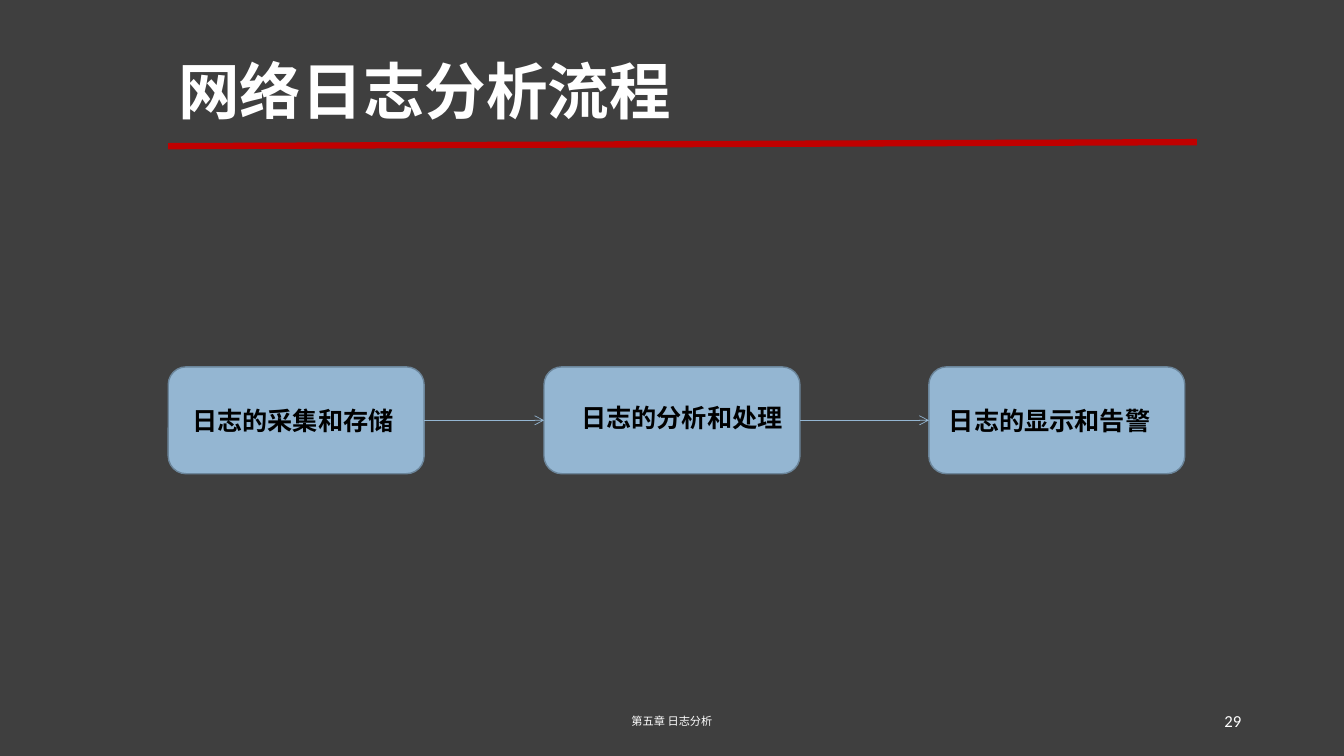
from lxml import etree
from pptx import Presentation
from pptx.dml.color import RGBColor
from pptx.enum import shapes, text
from pptx.oxml import ns
from pptx.util import Inches, Pt

BACKGROUND = RGBColor(0x3F, 0x3F, 0x3F)
WHITE = RGBColor(0xFF, 0xFF, 0xFF)
BLACK = RGBColor(0, 0, 0)
RED = RGBColor(0xC0, 0, 0)
BLUE = RGBColor(0x94, 0xB6, 0xD2)
BLUE_EDGE = RGBColor(0x6B, 0x85, 0x9A)
CJK = "Noto Sans CJK SC"
LATIN = "Calibri"

BOX_TOP, BOX_WIDTH, BOX_HEIGHT = 3.64, 2.54, 1.06
# box left, label left, label top, label width, label
STEPS = [
    (1.67, 1.81, 3.97, 2.26, "日志的采集和存储"),
    (5.4, 5.67, 3.94, 2.27, "日志的分析和处理"),
    (9.22, 9.32, 3.97, 2.34, "日志的显示和告警"),
]


class FlowSlide:
    def __init__(self, prs):
        self.s = prs.slides.add_slide(prs.slide_layouts[5])
        fill = self.s.background.fill
        fill.solid()
        fill.fore_color.rgb = BACKGROUND

    def add_text(self, sp, words, size, color, font=LATIN, bold=False,
                 align=text.PP_ALIGN.LEFT, anchor=text.MSO_ANCHOR.MIDDLE):
        tf = sp.text_frame
        tf.word_wrap = True
        tf.auto_size = text.MSO_AUTO_SIZE.NONE
        tf.vertical_anchor = anchor
        p = tf.paragraphs[0]
        p.alignment = align
        r = p.add_run()
        r.text = words
        r.font.size = Pt(size)
        r.font.bold = bold
        r.font.color.rgb = color
        r.font.name = font
        east_asian = etree.SubElement(r.font._element, ns.qn("a:ea"))
        east_asian.set("typeface", CJK)
        return p

    def title(self, words, left, top, width, height):
        sp = self.s.shapes.title
        sp.left, sp.top = Inches(left), Inches(top)
        sp.width, sp.height = Inches(width), Inches(height)
        p = self.add_text(sp, words, 44, WHITE, CJK, bold=True)
        p.line_spacing = 0.9

    def label(self, words, left, top, width, size, color, **style):
        sp = self.s.shapes.add_textbox(
            Inches(left), Inches(top), Inches(width), Inches(0.4))
        self.add_text(sp, words, size, color, **style)

    def box(self, left):
        sp = self.s.shapes.add_shape(
            shapes.MSO_SHAPE.ROUNDED_RECTANGLE, Inches(left), Inches(BOX_TOP),
            Inches(BOX_WIDTH), Inches(BOX_HEIGHT))
        sp.shadow.inherit = False
        sp.fill.solid()
        sp.fill.fore_color.rgb = BLUE
        sp.line.color.rgb = BLUE_EDGE
        sp.line.width = Pt(1)
        return sp

    def line(self, x1, y1, x2, y2, color, width):
        c = self.s.shapes.add_connector(
            shapes.MSO_CONNECTOR.STRAIGHT,
            Inches(x1), Inches(y1), Inches(x2), Inches(y2))
        c.line.color.rgb = color
        c.line.width = Pt(width)
        etree.SubElement(c._element.spPr, ns.qn("a:effectLst"))
        return c

    def arrow(self, source, target):
        """Join the right side of source to the left side of target."""
        c = self.line(0, 0, 1, 0, BLUE, 0.5)
        c.begin_connect(source, 3)
        c.end_connect(target, 1)
        ln = c._element.spPr.find(ns.qn("a:ln"))
        tail = etree.SubElement(ln, ns.qn("a:tailEnd"))
        tail.set("type", "arrow")


def main():
    prs = Presentation()
    prs.slide_width, prs.slide_height = Inches(13.34), Inches(7.5)
    slide = FlowSlide(prs)

    slide.line(1.67, 1.45, 11.88, 1.41, RED, 4.5)
    slide.title("网络日志分析流程", 1.67, 0.21, 10.21, 1.45)
    slide.label("第五章 日志分析", 4.42, 6.95, 4.5, 8, WHITE, font=CJK,
                align=text.PP_ALIGN.CENTER)
    slide.label("29", 9.42, 6.95, 3, 12, WHITE, align=text.PP_ALIGN.RIGHT)

    boxes = []
    for box_left, left, top, width, words in STEPS:
        boxes.append(slide.box(box_left))
        slide.label(words, left, top, width, 18, BLACK, bold=True,
                    anchor=text.MSO_ANCHOR.TOP)
    for source, target in zip(boxes, boxes[1:]):
        slide.arrow(source, target)

    prs.save("out.pptx")


if __name__ == "__main__":
    main()
